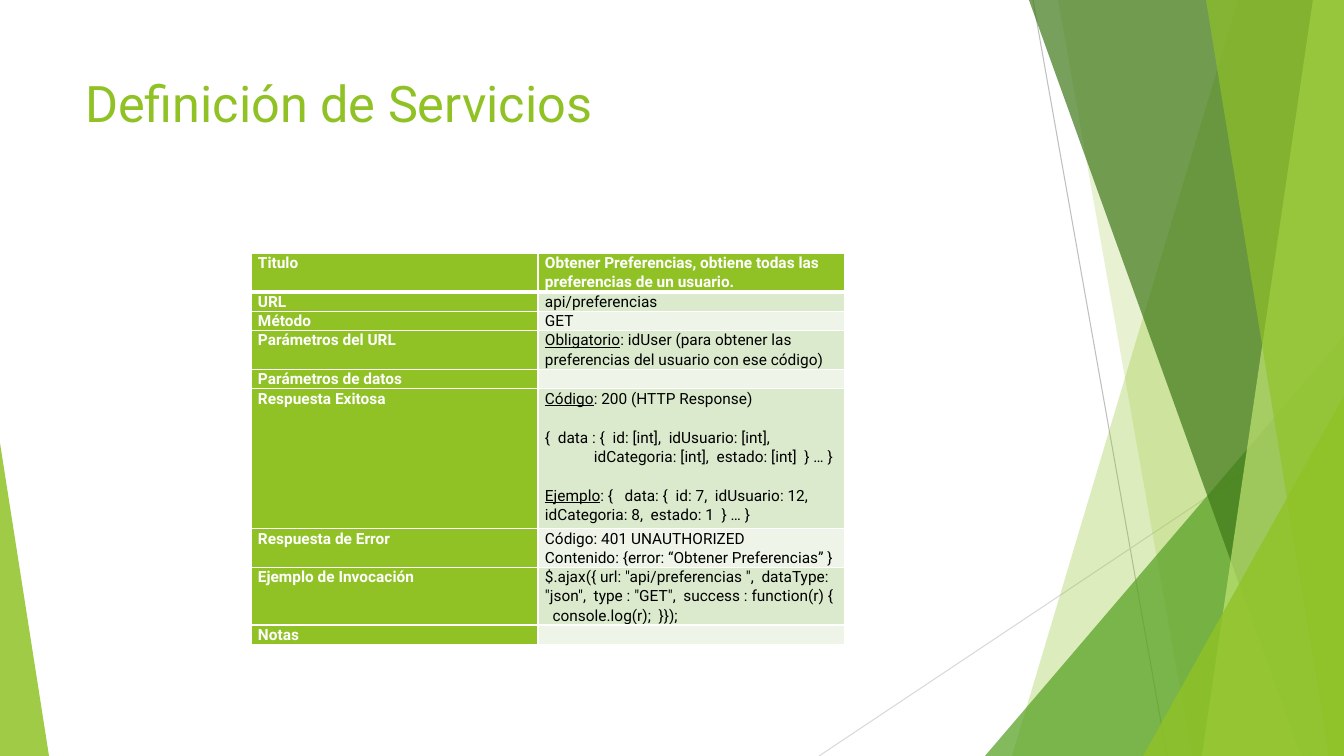
from dataclasses import dataclass

from lxml.etree import SubElement
from pptx import Presentation
from pptx.dml.color import RGBColor
from pptx.enum.shapes import MSO_CONNECTOR as Connector, MSO_SHAPE as Preset
from pptx.enum.text import MSO_ANCHOR as Anchor, PP_ALIGN as Align
from pptx.oxml.ns import qn
from pptx.util import Pt


@dataclass(frozen=True)
class Theme:
    font: str = "Roboto"
    lime: str = "90C226"
    green: str = "54A021"
    forest: str = "3F7819"
    pale: str = "C0E474"
    band_dark: str = "DBE9CD"
    band_light: str = "EEF4E8"
    white: str = "FFFFFF"
    black: str = "000000"
    line_dark: str = "BFBFBF"
    line_light: str = "D9D9D9"
    title_size: int = 36
    cell_size: int = 11


THEME = Theme()
SCALE = 914400 / 100.8
WIDTH, HEIGHT = 1344, 756

TITLE = "Definición de Servicios"
TITLE_BOX = (75, 67, 948, 145)

THIN_LINES = [
    ((1033, 0), (1167, HEIGHT), THEME.line_dark),
    ((WIDTH, 406), (819, HEIGHT), THEME.line_light),
]
FACETS = [
    ("band", (1238, 1012), THEME.lime, 30),
    ("band", (1058, 1192), THEME.lime, 20),
    ("triangle", (985, 336, 359, 420, 1), THEME.green, 72),
    ("band", (1029, 1301), THEME.forest, 70),
    ("band", (1313, 1202), THEME.pale, 70),
    ("band", (1206, 1329), THEME.lime, 65),
    ("triangle", (1143, 396, 201, 360, 1), THEME.lime, 80),
    ("triangle", (0, 443, 49, 313, 0), THEME.lime, 85),
]

TABLE_AT = (251, 253)
COLUMNS = (287, 307)
BLANK_LINE = 14
HANG = 49
SPACED = {"after": BLANK_LINE}
HANGING = {"after": BLANK_LINE, "hang": HANG}
ROWS = [
    ("Titulo", 39, [("", "Obtener Preferencias, obtiene todas las preferencias de un usuario.", {})]),
    ("URL", 19, [("", "api/preferencias", {})]),
    ("Método", 19, [("", "GET", {})]),
    ("Parámetros del URL", 39, [
        ("Obligatorio", ": idUser (para obtener las preferencias del usuario con ese código)", {}),
    ]),
    ("Parámetros de datos", 19, []),
    ("Respuesta Exitosa", 140, [
        ("Código", ": 200 (HTTP Response)", SPACED),
        ("", "{  data : {  id: [int],  idUsuario: [int],   idCategoria: [int],  estado: [int]  } … }", HANGING),
        ("Ejemplo", ": {   data: {  id: 7,  idUsuario: 12,   idCategoria: 8,  estado: 1  } … }", {}),
    ]),
    ("Respuesta de Error", 38, [
        ("", "Código: 401 UNAUTHORIZED", {}),
        ("", "Contenido: {error: “Obtener Preferencias” }", {}),
    ]),
    ("Ejemplo de Invocación", 58, [
        ("", '$.ajax({ url: "api/preferencias ",  dataType: "json",  type : "GET",  '
             "success : function(r) {    console.log(r);  }});", {}),
    ]),
    ("Notas", 19, []),
]


def px(value):
    return round(value * SCALE)


def write(para, text, size=THEME.cell_size, color=THEME.black, bold=False, underline=False):
    span = para.add_run()
    span.text = text
    span.font.name = THEME.font
    span.font.size = Pt(size)
    span.font.bold = bold
    span.font.underline = underline
    span.font.color.rgb = RGBColor.from_string(color)


def paint(shape, color, opacity):
    shape.shadow.inherit = False
    shape.line.fill.background()
    shape.fill.solid()
    shape.fill.fore_color.rgb = RGBColor.from_string(color)
    tint = shape.fill._xPr.find(qn("a:solidFill"))[0]
    SubElement(tint, qn("a:alpha"), val=str(opacity * 1000))


def draw_background(page):
    for start, end, color in THIN_LINES:
        line = page.shapes.add_connector(Connector.STRAIGHT, *map(px, start + end))
        line.line.color.rgb = RGBColor.from_string(color)
        line.line.width = Pt(0.75)
        SubElement(line._element.spPr, qn("a:effectLst"))
    for kind, place, color, opacity in FACETS:
        if kind == "band":
            top, bottom = place
            outline = page.shapes.build_freeform(top, 0, scale=SCALE)
            outline.add_line_segments([(WIDTH, 0), (WIDTH, HEIGHT), (bottom, HEIGHT)], close=True)
            facet = outline.convert_to_shape()
        else:
            *box, apex = place
            facet = page.shapes.add_shape(Preset.ISOSCELES_TRIANGLE, *map(px, box))
            facet.adjustments[0] = apex
        paint(facet, color, opacity)


def style_cell(cell, fill, bottom_width):
    cell.margin_left = cell.margin_right = px(7)
    cell.margin_top = cell.margin_bottom = 0
    cell.vertical_anchor = Anchor.TOP
    properties = cell._tc.get_or_add_tcPr()
    for side, width in (("L", 1), ("R", 1), ("T", 1), ("B", bottom_width)):
        border = SubElement(properties, qn(f"a:ln{side}"), w=str(Pt(width)))
        SubElement(SubElement(border, qn("a:solidFill")), qn("a:srgbClr"), val=THEME.white)
    cell.fill.solid()
    cell.fill.fore_color.rgb = RGBColor.from_string(fill)


def fill_cell(cell, lines, color, bold):
    frame = cell.text_frame
    for index, (label, text, layout) in enumerate(lines):
        para = frame.add_paragraph() if index else frame.paragraphs[0]
        para.line_spacing = 1.07
        para.space_after = Pt(layout.get("after", 0))
        if "hang" in layout:
            properties = para._p.get_or_add_pPr()
            properties.set("marL", str(px(layout["hang"])))
            properties.set("indent", str(-px(layout["hang"])))
        if label:
            write(para, label, color=color, bold=bold, underline=True)
        write(para, text, color=color, bold=bold)
    if not lines:
        SubElement(frame.paragraphs[0]._p, qn("a:endParaRPr"), sz=str(THEME.cell_size * 100))


def draw_table(page):
    heights = [height for _, height, _ in ROWS]
    box = (*TABLE_AT, sum(COLUMNS), sum(heights))
    table = page.shapes.add_table(len(ROWS), len(COLUMNS), *map(px, box)).table
    table.horz_banding = False
    for column, width in zip(table.columns, COLUMNS):
        column.width = px(width)
    for index, (heading, height, lines) in enumerate(ROWS):
        table.rows[index].height = px(height)
        header = index == 0
        band = THEME.band_dark if index % 2 else THEME.band_light
        contents = [
            ([("", heading, {})], THEME.lime, True),
            (lines, THEME.lime if header else band, header),
        ]
        for column, (content, fill, strong) in enumerate(contents):
            cell = table.cell(index, column)
            style_cell(cell, fill, 3 if header else 1)
            fill_cell(cell, content, THEME.white if strong else THEME.black, strong)


def draw_title(page):
    title = page.shapes.title
    title.left, title.top, title.width, title.height = map(px, TITLE_BOX)
    title.text_frame.vertical_anchor = Anchor.TOP
    title.text_frame.word_wrap = True
    para = title.text_frame.paragraphs[0]
    para.alignment = Align.LEFT
    write(para, TITLE, size=THEME.title_size, color=THEME.lime)


def main():
    deck = Presentation()
    deck.slide_width, deck.slide_height = px(WIDTH), px(HEIGHT)
    page = deck.slides.add_slide(deck.slide_layouts[5])
    draw_background(page)
    draw_title(page)
    draw_table(page)
    deck.save("out.pptx")


if __name__ == "__main__":
    main()
